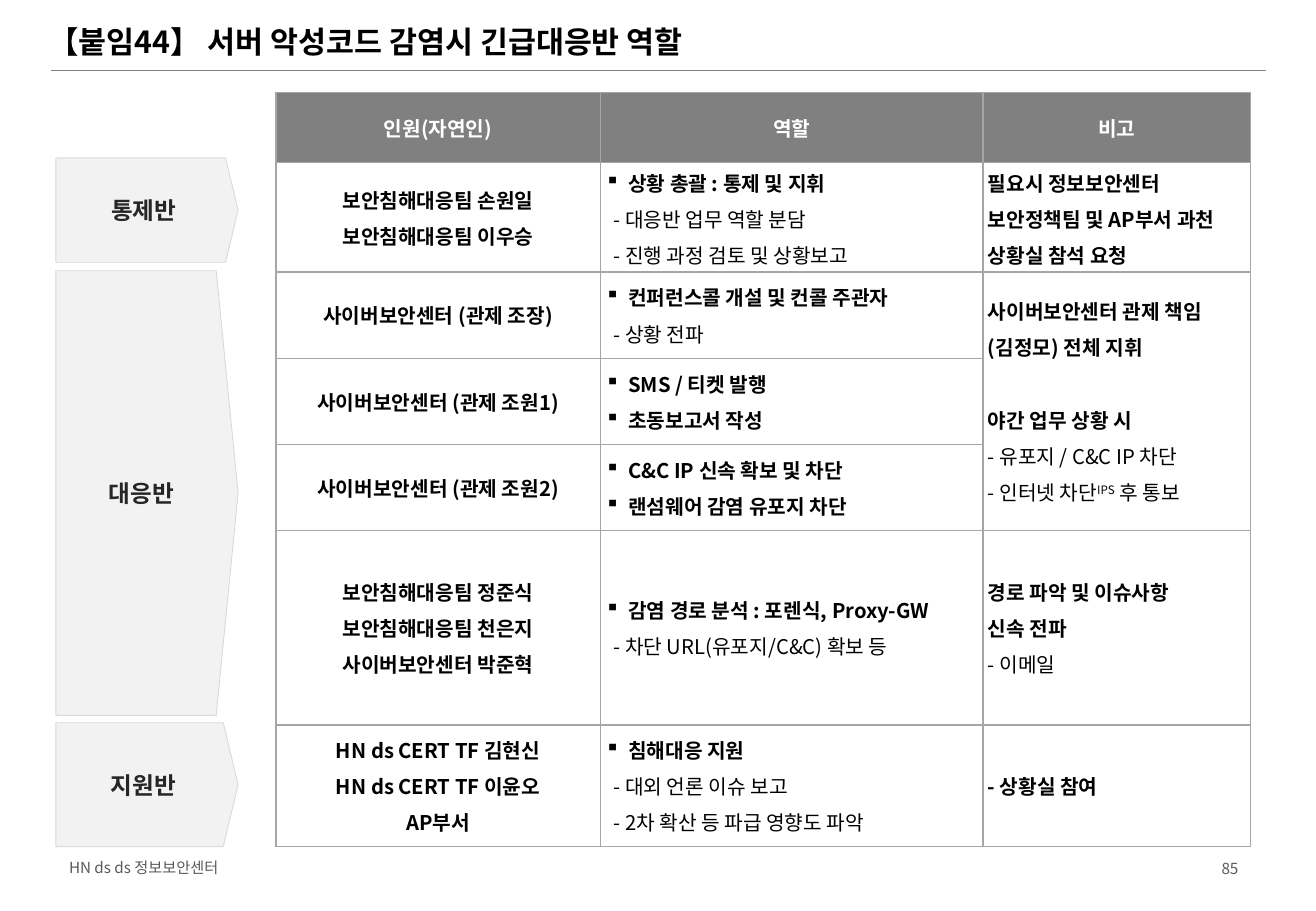
import pptx
import pptx.chart.data
import pptx.dml.color
import pptx.enum.shapes
import pptx.enum.text
import pptx.oxml
import pptx.oxml.ns
import pptx.util
from lxml import etree

Inches = pptx.util.Inches
Pt = pptx.util.Pt
ALIGN = pptx.enum.text.PP_ALIGN
MIDDLE = pptx.enum.text.MSO_ANCHOR.MIDDLE
FONT = "Noto Sans CJK KR"
LINE_PITCH = 21.4

HEADERS = ["인원(자연인)", "역할", "비고"]
COL_WIDTHS = [2.67, 3.15, 2.2]
ROW_HEIGHTS = [0.58, 0.9, 0.71, 0.71, 0.71, 1.6, 1]

PEOPLE = [
    ["보안침해대응팀 손원일", "보안침해대응팀 이우승"],
    ["사이버보안센터 (관제 조장)"],
    ["사이버보안센터 (관제 조원1)"],
    ["사이버보안센터 (관제 조원2)"],
    ["보안침해대응팀 정준식", "보안침해대응팀 천은지", "사이버보안센터 박준혁"],
    ["HN ds CERT TF 김현신", "HN ds CERT TF 이윤오", "AP부서"],
]
ROLES = [
    [("item", "상황 총괄 : 통제 및 지휘"), ("sub", "- 대응반 업무 역할 분담"),
     ("sub", "- 진행 과정 검토 및 상황보고")],
    [("item", "컨퍼런스콜 개설 및 컨콜 주관자"), ("sub", "- 상황 전파")],
    [("item", "SMS / 티켓 발행"), ("item", "초동보고서 작성")],
    [("item", "C&C IP 신속 확보 및 차단"), ("item", "랜섬웨어 감염 유포지 차단")],
    [("item", "감염 경로 분석 : 포렌식, Proxy-GW"),
     ("sub", "- 차단 URL(유포지/C&C) 확보 등")],
    [("item", "침해대응 지원"), ("sub", "- 대외 언론 이슈 보고"),
     ("sub", "- 2차 확산 등 파급 영향도 파악")],
]
REMARKS = {
    1: [("bold", "필요시 정보보안센터"), ("bold", "보안정책팀 및 AP부서 과천"),
        ("bold", "상황실 참석 요청")],
    2: [("bold", "사이버보안센터 관제 책임"), ("bold", "(김정모) 전체 지휘"),
        ("section", "야간 업무 상황 시"), ("note", "- 유포지 / C&C IP 차단"),
        ("note", "- 인터넷 차단|IPS| 후 통보")],
    5: [("bold", "경로 파악 및 이슈사항"), ("bold", "신속 전파"), ("note", "- 이메일")],
    6: [("bold", "- 상황실 참여")],
}
TEAMS = [("통제반", 1.3, 0.86), ("대응반", 2.23, 3.66), ("지원반", 5.95, 1.02)]


def color(value):
    return pptx.dml.color.RGBColor.from_string(value)


def format_run(r, size, rgb, bold=False):
    r.font.size = Pt(size)
    r.font.name = FONT
    r.font.bold = bold
    r.font.color.rgb = color(rgb)
    ea = etree.SubElement(r.font._element, pptx.oxml.ns.qn("a:ea"))
    ea.set("typeface", FONT)


def write_line(tf, text, size, rgb, bold=False, align=ALIGN.LEFT):
    tf.vertical_anchor = MIDDLE
    p = tf.paragraphs[0]
    p.text = text
    p.alignment = align
    format_run(p.runs[0], size, rgb, bold)


def add_label(s, text, left, top, width, height, align=ALIGN.LEFT):
    sp = s.shapes.add_textbox(Inches(left), Inches(top), Inches(width), Inches(height))
    sp.text_frame.word_wrap = True
    write_line(sp.text_frame, text, 9, "595959", align=align)


def add_title(s, text):
    sp = s.shapes.title
    sp.left, sp.top, sp.width, sp.height = [Inches(v) for v in (0.3, 0.16, 9.29, 0.36)]
    sp.text_frame.auto_size = pptx.enum.text.MSO_AUTO_SIZE.NONE
    write_line(sp.text_frame, text, 18, "000000", True)


def add_rule(s):
    sp = s.shapes.add_connector(pptx.enum.shapes.MSO_CONNECTOR.STRAIGHT,
                                Inches(0.42), Inches(0.58), Inches(10.42), Inches(0.58))
    sp.line.color.rgb = color("808080")
    sp.line.width = Pt(1)
    etree.SubElement(sp._element.spPr, pptx.oxml.ns.qn("a:effectLst"))


def add_team(s, name, top, height):
    sp = s.shapes.add_shape(pptx.enum.shapes.MSO_SHAPE.PENTAGON,
                            Inches(0.46), Inches(top), Inches(1.5), Inches(height))
    sp.adjustments[0] = 0.12
    sp.shadow.inherit = False
    sp.fill.solid()
    sp.fill.fore_color.rgb = color("F2F2F2")
    sp.line.color.rgb = color("D9D9D9")
    sp.line.width = Pt(0.5)
    sp.text_frame.word_wrap = False
    write_line(sp.text_frame, name, 14, "262626", True, ALIGN.CENTER)


def format_cell(cell, fill, inset):
    cell.vertical_anchor = MIDDLE
    cell.margin_left = cell.margin_right = Inches(inset)
    cell.margin_top = cell.margin_bottom = Inches(inset)
    tcPr = cell._tc.get_or_add_tcPr()
    for side in ("lnL", "lnR", "lnT", "lnB"):
        tcPr.append(pptx.oxml.parse_xml(
            f'<a:{side} {pptx.oxml.ns.nsdecls("a")} w="12700"><a:solidFill>'
            f'<a:srgbClr val="A6A6A6"/></a:solidFill></a:{side}>'))
    cell.fill.solid()
    cell.fill.fore_color.rgb = color(fill)


def indent(p, kind):
    pPr = p._p.get_or_add_pPr()
    if kind == "item":
        pPr.set("marL", str(Inches(0.19)))
        pPr.set("indent", str(-Inches(0.19)))
        etree.SubElement(pPr, pptx.oxml.ns.qn("a:buChar")).set("char", "▪")
    elif kind == "sub":
        pPr.set("marL", str(Inches(0.07)))


def fill_cell(cell, lines):
    tf = cell.text_frame
    for i, (kind, text) in enumerate(lines):
        p = tf.add_paragraph() if i else tf.paragraphs[0]
        indent(p, kind)
        p.alignment = ALIGN.CENTER if kind == "person" else ALIGN.LEFT
        p.space_before = Pt(0 if i == 0 else 2 + LINE_PITCH * (kind == "section"))
        p.space_after = Pt(2)
        for j, part in enumerate(text.split("|")):
            r = p.add_run()
            r.text = part
            format_run(r, 12, "000000", kind not in ("sub", "note"))
            if j % 2:
                r.font._element.set("baseline", "30000")


def add_roles_table(s):
    frame = s.shapes.add_table(len(ROW_HEIGHTS), len(COL_WIDTHS), Inches(2.27), Inches(0.76),
                               Inches(sum(COL_WIDTHS)), Inches(sum(ROW_HEIGHTS)))
    table = frame.table
    for column, width in zip(table.columns, COL_WIDTHS):
        column.width = Inches(width)
    for i, height in enumerate(ROW_HEIGHTS):
        table.rows[i].height = Inches(height)
        for cell in table.rows[i].cells:
            format_cell(cell, "FFFFFF" if i else "808080", 0.04 if i else 0)
    for cell, text in zip(table.rows[0].cells, HEADERS):
        write_line(cell.text_frame, text, 12, "FFFFFF", True, ALIGN.CENTER)
    table.cell(2, 2).merge(table.cell(4, 2))
    for i, (people, roles) in enumerate(zip(PEOPLE, ROLES), 1):
        fill_cell(table.cell(i, 0), [("person", name) for name in people])
        fill_cell(table.cell(i, 1), roles)
        fill_cell(table.cell(i, 2), REMARKS.get(i, []))


def main():
    prs = pptx.Presentation()
    prs.slide_width, prs.slide_height = Inches(10.83), Inches(7.5)
    s = prs.slides.add_slide(prs.slide_layouts[5])
    add_rule(s)
    add_label(s, "HN ds ds 정보보안센터", 0.47, 7.01, 2.8, 0.26)
    add_title(s, "【붙임44】 서버 악성코드 감염시 긴급대응반 역할")
    add_label(s, "85", 7.76, 6.95, 2.53, 0.4, ALIGN.RIGHT)
    add_roles_table(s)
    for name, top, height in TEAMS:
        add_team(s, name, top, height)
    prs.save("out.pptx")


if __name__ == "__main__":
    main()
